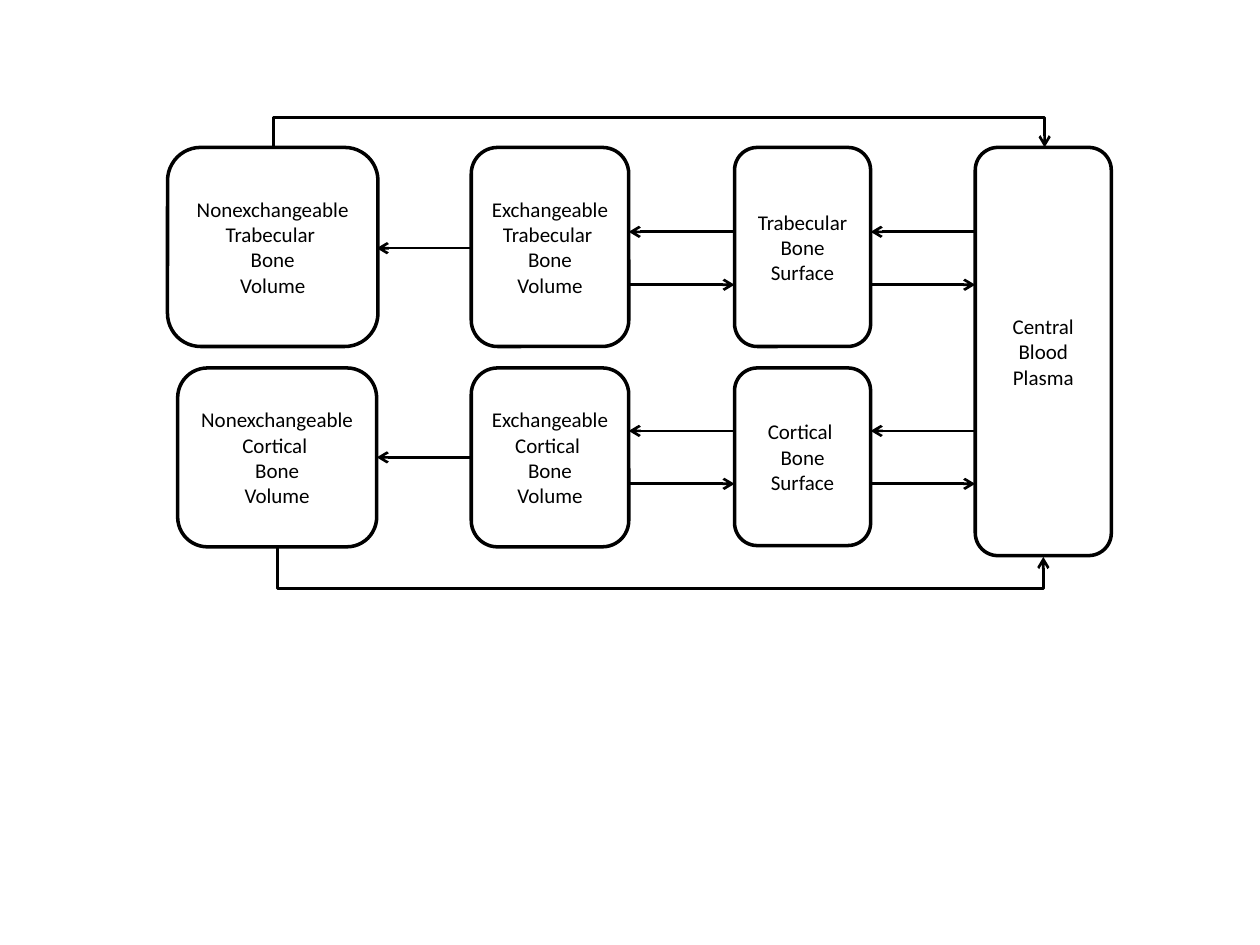
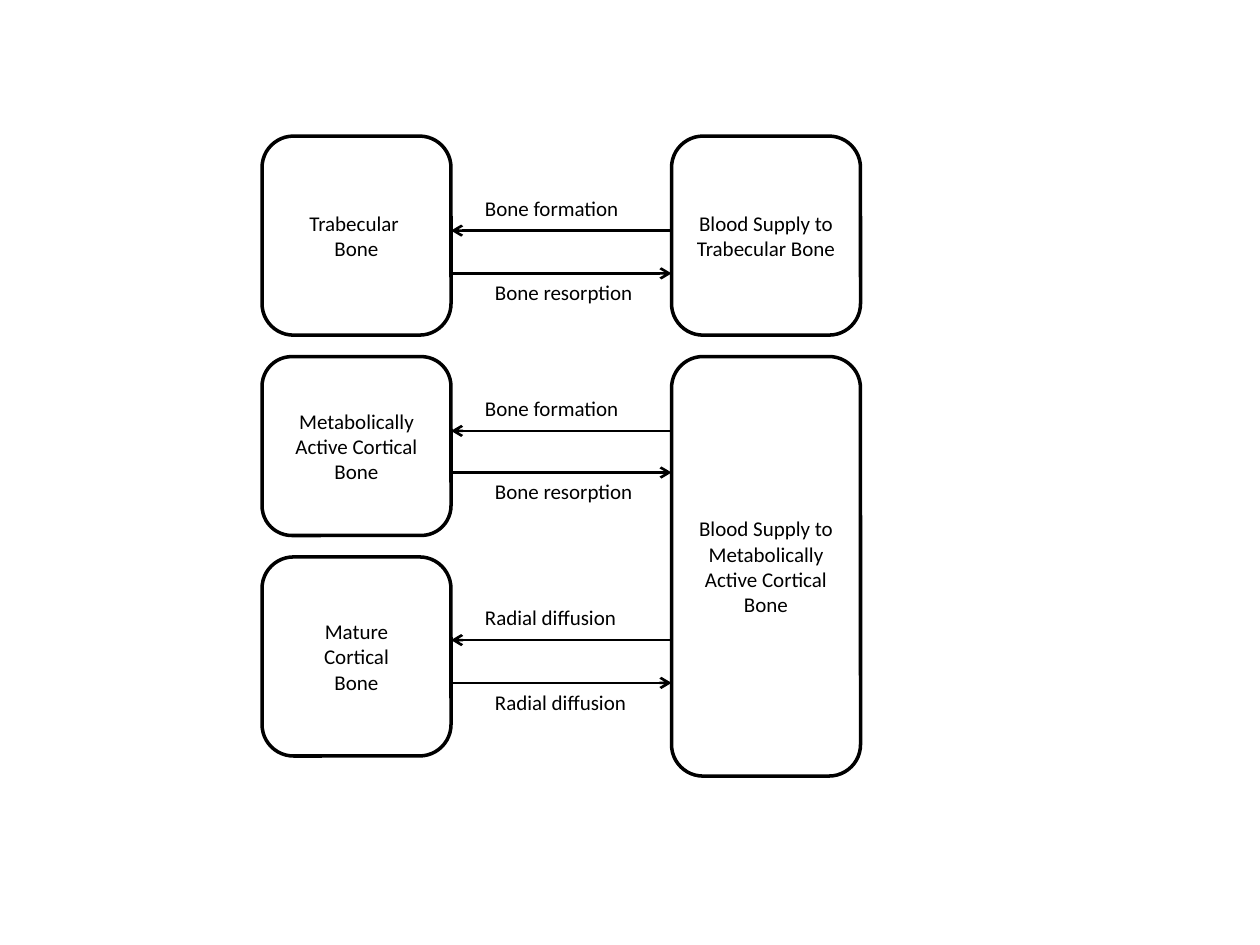
"""Draw two compartment models of bone, as boxes joined by arrows."""
from lxml import etree
from pptx import Presentation
from pptx import util as u
from pptx.dml.color import RGBColor
from pptx.enum import shapes, text
from pptx.oxml.ns import qn

INK = "000000"
FONT, SIZE = "Calibri", 12
BOX_LINE, ARROW_LINE = 2, 1.5

EXCHANGE_MODEL = {
    "boxes": [
        (1.33, 1.17, 1.67, 1.58, ["Nonexchangeable", "Trabecular ", "Bone", "Volume"]),
        (3.74, 1.17, 1.25, 1.58, ["Exchangeable", "Trabecular ", "Bone", "Volume"]),
        (5.83, 1.17, 1.08, 1.58, ["Trabecular", "Bone Surface"]),
        (1.41, 2.92, 1.58, 1.42, ["Nonexchangeable", "Cortical ", "Bone", "Volume"]),
        (3.74, 2.92, 1.25, 1.42, ["Exchangeable Cortical ", "Bone", "Volume"]),
        (5.83, 2.92, 1.08, 1.41, ["Cortical ", "Bone", "Surface"]),
        (7.74, 1.17, 1.08, 3.24, ["Central", "Blood", "Plasma"]),
    ],
    "two_way_gaps": [(4.99, 5.83), (6.91, 7.74)],
    "two_way_rows": [(1.84, 2.26), (3.42, 3.84)],
    "one_way_gap": (3.74, 2.99),
    "one_way_rows": [1.97, 3.63],
    "loops": [((2.17, 1.18), 0.93, (8.29, 1.17)), ((2.2, 4.34), 4.67, (8.28, 4.42))],
}

SUPPLY_MODEL = {
    "boxes": [
        (2.08, 1.08, 1.5, 1.58, ["Trabecular ", "Bone"]),
        (2.08, 2.83, 1.5, 1.42, ["Metabolically Active Cortical Bone"]),
        (2.08, 4.42, 1.5, 1.58, ["Mature", "Cortical", "Bone"]),
        (5.33, 1.08, 1.5, 1.58, ["Blood Supply to Trabecular Bone"]),
        (5.33, 2.83, 1.5, 3.33, ["Blood Supply to Metabolically Active Cortical Bone"]),
    ],
    "two_way_gaps": [(3.58, 5.33)],
    "two_way_rows": [(1.83, 2.17), (3.42, 3.75), (5.08, 5.42)],
    "processes": [
        ("Bone formation", "Bone resorption"),
        ("Bone formation", "Bone resorption"),
        ("Radial diffusion", "Radial diffusion"),
    ],
}
LABEL_HEIGHT, LABEL_RISE = 0.3, 0.33
UPPER_LABEL, LOWER_LABEL = (3.75, 1.58), (3.83, 1.33)


def color(code):
    return RGBColor.from_string(code)


def write(frame, lines, align):
    frame.word_wrap = True
    for index, line in enumerate(lines):
        paragraph = frame.add_paragraph() if index else frame.paragraphs[0]
        paragraph.alignment = align
        run = paragraph.add_run()
        run.text = line
        run.font.name, run.font.size = FONT, u.Pt(SIZE)
        run.font.color.rgb = color(INK)


def add_box(slide, left, top, width, height, lines):
    box = slide.shapes.add_shape(shapes.MSO_SHAPE.ROUNDED_RECTANGLE,
                                 *map(u.Inches, (left, top, width, height)))
    box.shadow.inherit = False
    box.fill.background()
    box.line.color.rgb = color(INK)
    box.line.width = u.Pt(BOX_LINE)
    box.text_frame.vertical_anchor = text.MSO_ANCHOR.MIDDLE
    write(box.text_frame, lines, text.PP_ALIGN.CENTER)


def add_label(slide, place, top, process):
    left, width = place
    label = slide.shapes.add_textbox(*map(u.Inches, (left, top, width, LABEL_HEIGHT)))
    write(label.text_frame, [process], text.PP_ALIGN.LEFT)
    label.text_frame.auto_size = text.MSO_AUTO_SIZE.SHAPE_TO_FIT_TEXT


def add_arrow(slide, start, end, route=shapes.MSO_CONNECTOR.STRAIGHT):
    arrow = slide.shapes.add_connector(route, *map(u.Inches, (*start, *end)))
    arrow.line.color.rgb = color(INK)
    arrow.line.width = u.Pt(ARROW_LINE)
    etree.SubElement(arrow.line._get_or_add_ln(), qn("a:tailEnd"), type="arrow")
    etree.SubElement(arrow._element.spPr, qn("a:effectLst"))
    return arrow


def add_loop(slide, start, turn, end):
    (x1, y1), (x2, y2) = start, end
    span, rise = x2 - x1, abs(y2 - y1)
    left, top = (x1 + x2 - rise) / 2, (y1 + y2 - span) / 2
    loop = add_arrow(slide, (left, top), (left + rise, top + span),
                     shapes.MSO_CONNECTOR.ELBOW)
    frame = loop._element.spPr.find(qn("a:xfrm"))
    over = turn < y1
    frame.set("rot", str((90 if over else 270) * 60000))
    frame.set("flipH", "1")
    frame.set("flipV", "1" if over else "0")
    bend = round(abs(turn - y1) / rise * 100000)
    guides = loop._element.spPr.find(qn("a:prstGeom")).find(qn("a:avLst"))
    etree.SubElement(guides, qn("a:gd"), name="adj1", fmla=f"val {bend}")


def add_model(deck, model):
    slide = deck.slides.add_slide(deck.slide_layouts[6])
    for box in model["boxes"]:
        add_box(slide, *box)
    for near, far in model["two_way_gaps"]:
        for upper, lower in model["two_way_rows"]:
            add_arrow(slide, (far, upper), (near, upper))
            add_arrow(slide, (near, lower), (far, lower))
    for y in model.get("one_way_rows", []):
        begin, finish = model["one_way_gap"]
        add_arrow(slide, (begin, y), (finish, y))
    for loop in model.get("loops", []):
        add_loop(slide, *loop)
    for (upper, lower), (inward, outward) in zip(model["two_way_rows"],
                                                 model.get("processes", [])):
        add_label(slide, UPPER_LABEL, upper - LABEL_RISE, inward)
        add_label(slide, LOWER_LABEL, lower, outward)


def main():
    deck = Presentation()
    deck.slide_width, deck.slide_height = u.Inches(10), u.Inches(7.5)
    for model in (EXCHANGE_MODEL, SUPPLY_MODEL):
        add_model(deck, model)
    deck.save("out.pptx")


if __name__ == "__main__":
    main()
